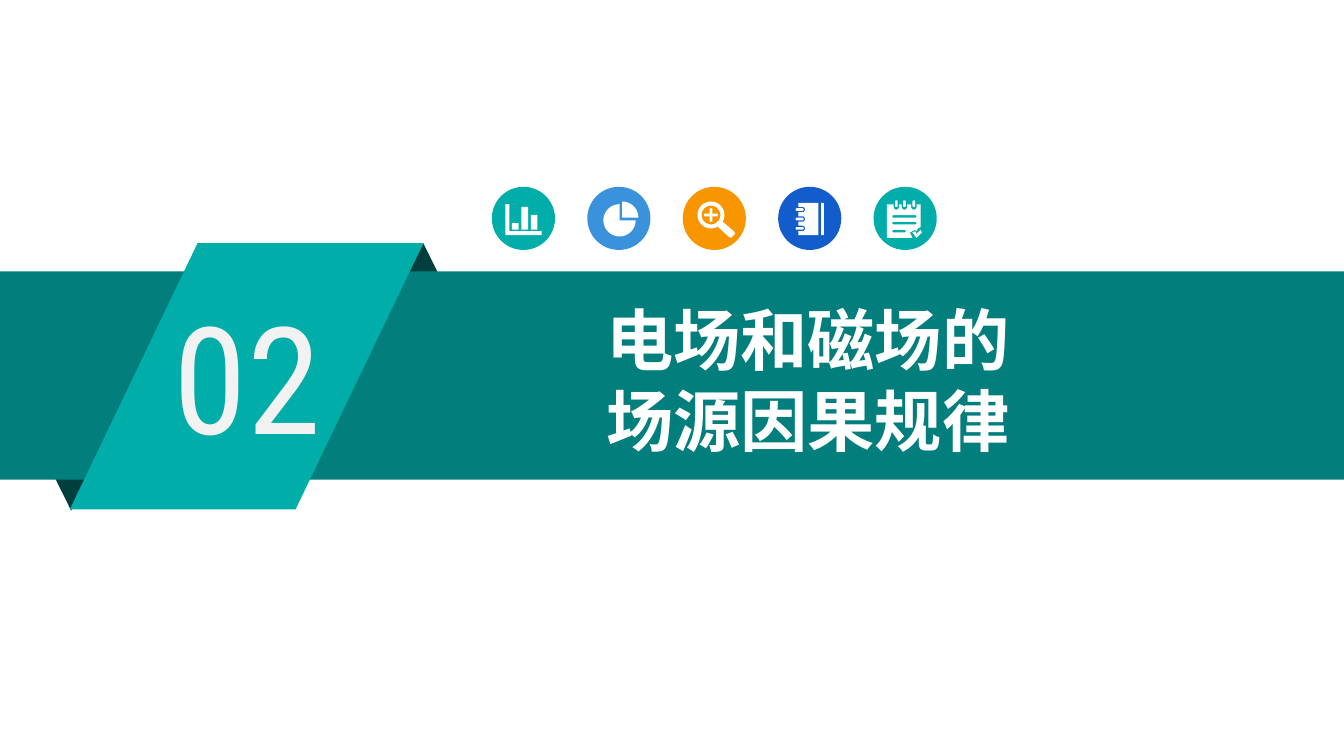
from math import cos, radians, sin

from lxml.etree import SubElement
from pptx import Presentation
from pptx.dml.color import RGBColor
from pptx.enum.shapes import MSO_SHAPE as Shape
from pptx.enum.text import MSO_ANCHOR as Anchor, PP_ALIGN as Align
from pptx.oxml.ns import qn
from pptx.util import Inches, Pt

TEAL, DARK_TEAL, FOLD = "00ADA9", "027F7D", "013F3F"
BLUE, ORANGE, NAVY = "3992DB", "F79600", "125CCB"
WHITE, PALE = "FFFFFF", "F2F2F2"


def paint(shape, color):
    shape.shadow.inherit = False
    shape.fill.solid()
    shape.fill.fore_color.rgb = RGBColor.from_string(color)
    shape.line.fill.background()


def add_block(page, kind, box, color):
    shape = page.shapes.add_shape(kind, *map(Inches, box))
    paint(shape, color)
    return shape


def fill_text(frame, lines, size, font, color, insets, bold=False, align=Align.LEFT, spacing=None):
    frame.word_wrap = True
    frame.vertical_anchor = Anchor.TOP
    (frame.margin_left, frame.margin_top,
     frame.margin_right, frame.margin_bottom) = map(Inches, insets)
    frame.text = "\n".join(lines)
    for para in frame.paragraphs:
        para.alignment = align
        para.line_spacing = spacing
        para.font.size = Pt(size)
        para.font.bold = bold
        para.font.name = font
        para.font.color.rgb = RGBColor.from_string(color)
        # East Asian text takes its font from its own element
        SubElement(para.font._element, qn("a:ea"), typeface=font)


# Outlines, in inches from the corner of an icon's circle
def rect(x, y, w, h):
    return [(x, y), (x + w, y), (x + w, y + h), (x, y + h)]


def arc(x, y, radius, start, end, steps=24):
    angles = [radians(start + (end - start) * i / steps) for i in range(steps + 1)]
    return [(x + radius * cos(a), y + radius * sin(a)) for a in angles]


def pill(x, y, w, h):
    r = min(w, h) / 2
    if w > h:
        return arc(x + r, y + r, r, 90, 270) + arc(x + w - r, y + r, r, -90, 90)
    return arc(x + r, y + r, r, 180, 360) + arc(x + r, y + h - r, r, 0, 180)


def bar_chart():
    axes = [(.1, .13), (.13, .13), (.13, .33), (.37, .33), (.37, .36), (.1, .36)]
    bars = [rect(x, .32 - h, .05, h) for x, h in ((.15, .05), (.22, .17), (.29, .11))]
    return [axes, *bars]


def pie_chart():
    return [[(.26, .23), *arc(.26, .23, .12, -90, 0)],
            [(.24, .25), *arc(.24, .25, .12, 0, 270, 48)]]


def magnifier():
    rim = arc(.21, .21, .1, 60, 390, 48) + [(.38, .33), (.39, .35), (.36, .38), (.34, .37)]
    near, far, x, y = .01, .05, .21, .21
    corners = [(near, far), (near, near), (far, near)]
    plus = []
    for _ in range(4):
        plus += [(x + a, y + b) for a, b in corners]
        corners = [(b, -a) for a, b in corners]
    return [rim, arc(.21, .21, .07, 0, 360, 48), plus]


def notebook():
    rings, gap = (.31, .24, .17), .02
    cover = [(.15, .12), (.3, .12), (.3, .36), (.15, .36)]
    for y in rings:
        cover += [(.15, y + gap), *arc(.18, y, gap, 90, -90), (.15, y - gap)]
    return [cover, rect(.32, .12, .02, .24), *[pill(.13, y - .01, .06, .02) for y in rings]]


def notepad():
    pins, gap = (.17, .23, .3), .02
    sheet = [(.1, .13)]
    for x in pins:
        sheet += [(x - gap, .13), *arc(x, .15, gap, 180, 0), (x + gap, .13)]
    sheet += [(.35, .13), (.35, .3), (.33, .31), (.32, .33), (.31, .32),
              (.27, .34), (.29, .38), (.1, .38)]
    lines = [pill(.14, y, w, .02) for y, w in ((.21, .18), (.26, .18), (.32, .1))]
    check = [(.29, .34), (.31, .33), (.32, .35), (.35, .32), (.36, .34), (.32, .38)]
    return [sheet, *lines, *[pill(x - .01, .1, .02, .05) for x in pins], check]


def add_icon(page, box, color, outlines):
    left, top = box[:2]
    add_block(page, Shape.OVAL, box, color)
    contours = [[(Inches(left + x), Inches(top + y)) for x, y in points] for points in outlines]
    builder = page.shapes.build_freeform(*contours[0][0])
    for number, points in enumerate(contours):
        if number:
            builder.move_to(*points[0])
        builder.add_line_segments(points[1:], close=True)
    paint(builder.convert_to_shape(), WHITE)


def add_icon_row(page, left, top, size, pitch):
    icons = ((TEAL, bar_chart), (BLUE, pie_chart), (ORANGE, magnifier),
             (NAVY, notebook), (TEAL, notepad))
    for i, (color, draw) in enumerate(icons):
        add_icon(page, (left + i * pitch, top, size, size), color, draw())


def add_banner(page, left, top, width, height, number):
    # Folds behind the band
    add_block(page, Shape.ISOSCELES_TRIANGLE, (left + 2.7, top - .21, .9, .91), FOLD)
    lower = add_block(page, Shape.ISOSCELES_TRIANGLE, (left + .08, top + .87, .9, .91), FOLD)
    lower._element.spPr.xfrm.set("flipV", "1")
    # Band and slanted tab
    add_block(page, Shape.RECTANGLE, (left, top, width, height), DARK_TEAL)
    tab = add_block(page, Shape.PARALLELOGRAM, (left + .52, top - .21, 2.63, 1.98), TEAL)
    tab.adjustments[0] = .48
    # Section number
    label = page.shapes.add_textbox(*map(Inches, (left + 1.22, top + .06, 1.45, 1.42)))
    fill_text(label.text_frame, [number], 80, "Roboto Condensed", PALE, (.07, .04, .07, .04))


def add_title(page, box, lines):
    title = page.shapes.title
    title.left, title.top, title.width, title.height = map(Inches, box)
    fill_text(title.text_frame, lines, 36, "Noto Sans CJK SC", WHITE, (.08, .04, .08, .04),
              bold=True, align=Align.CENTER, spacing=Pt(43.4))
    # Bring the title in front of the band
    page.shapes._spTree.append(title._element)


def main():
    deck = Presentation()
    deck.slide_width = Inches(10)
    deck.slide_height = deck.slide_width * 9 // 16
    page = deck.slides.add_slide(deck.slide_layouts[5])
    add_banner(page, 0, 2.02, 10, 1.55, "02")
    add_title(page, (3.35, 2.18, 5.32, 1.29), ["电场和磁场的", "场源因果规律"])
    add_icon_row(page, 3.66, 1.39, .47, .71)
    deck.save("out.pptx")


if __name__ == "__main__":
    main()
